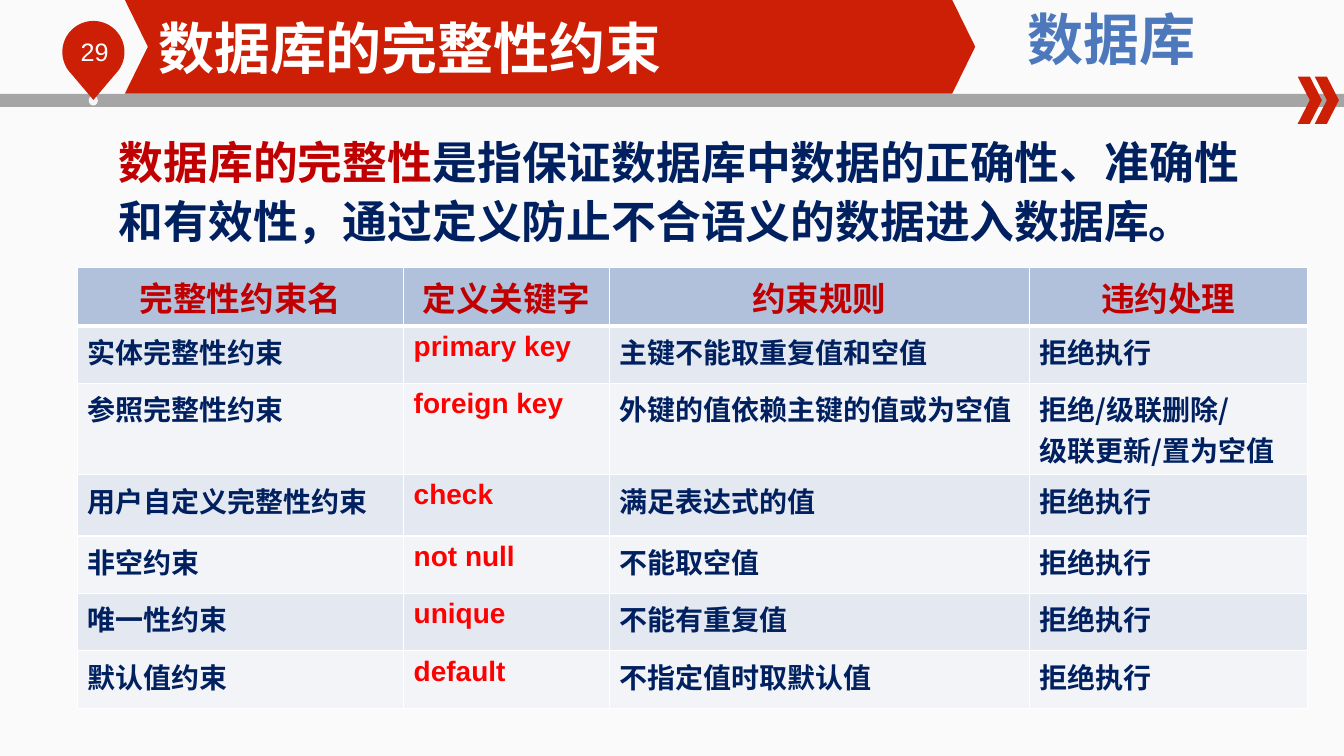
from dataclasses import dataclass
from math import cos, radians, sin

from lxml.etree import SubElement as Sub
from pptx import Presentation
from pptx.dml.color import RGBColor as RGB
from pptx.enum.shapes import MSO_SHAPE as Kind
from pptx.enum.text import MSO_ANCHOR as Anchor, PP_ALIGN as Align
from pptx.oxml.ns import qn
from pptx.util import Pt


@dataclass(frozen=True)
class Theme:
    """Colours, fonts and type sizes of the slide."""
    red: str = "CD1F06"
    gray: str = "A5A5A5"
    dot: str = "F6F6F6"
    white: str = "FFFFFF"
    blue: str = "4D79BC"
    navy: str = "002060"
    dark: str = "C00000"
    key: str = "FF0000"
    head: str = "B2C1DB"
    bands: tuple = ("E4E9F1", "F2F4F8")
    back: tuple = ("FAFAFA", "FCFCFC")
    latin: str = "Arial"
    han: str = "Noto Sans CJK SC"
    title: int = 40
    body: int = 32
    label: int = 24
    cell: int = 20
    page: int = 18


def write(para, text, *, size, color, font, han, bold=True, align=None, space=None):
    """Add a formatted run to a paragraph."""
    if align is not None:
        para.alignment = align
    if space:
        para.line_spacing = space
    run = para.add_run()
    run.text = text
    run.font.size = Pt(size)
    run.font.bold = bold
    run.font.color.rgb = RGB.from_string(color)
    run.font.name = font
    Sub(run.font._element, qn("a:ea"), typeface=han)


class Deck:
    """Draw styled elements on the current slide."""

    def __init__(self, theme, wide, high):
        """Open a blank slide of the given size."""
        self.theme = theme
        self.show = Presentation()
        self.show.slide_width, self.show.slide_height = Pt(wide), Pt(high)
        self.slide = self.show.slides.add_slide(self.show.slide_layouts[6])
        fill = self.slide.background.fill
        fill.gradient()
        fill.gradient_angle = 270
        for stop, color in zip(fill.gradient_stops, theme.back):
            stop.color.rgb = RGB.from_string(color)

    def paint(self, shape, color):
        """Give a shape a plain fill with no line or shadow."""
        shape.shadow.inherit = False
        shape.fill.solid()
        shape.fill.fore_color.rgb = RGB.from_string(color)
        shape.line.fill.background()

    def shape(self, kind, box, color, adj=None):
        """Add a preset shape."""
        item = self.slide.shapes.add_shape(kind, *map(Pt, box))
        if adj:
            item.adjustments[0] = adj
        self.paint(item, color)

    def pin(self, x, y, r, tip, color):
        """Add a round marker that narrows to a tip."""
        turns = [radians(a) for a in range(135, 406, 5)]
        ring = [(Pt(x + r * cos(a)), Pt(y + r * sin(a))) for a in turns]
        form = self.slide.shapes.build_freeform(Pt(x), Pt(tip))
        form.add_line_segments(ring, close=True)
        self.paint(form.convert_to_shape(), color)

    def text(self, box, runs, **style):
        """Add a text box with one paragraph of coloured runs."""
        frame = self.slide.shapes.add_textbox(*map(Pt, box)).text_frame
        frame.word_wrap = True
        frame.vertical_anchor = Anchor.MIDDLE
        look = {"font": self.theme.latin, "han": self.theme.han} | style
        for text, color in runs:
            write(frame.paragraphs[0], text, color=color, **look)

    def edge(self, cell, side, width):
        """Add one white border to a cell."""
        line = Sub(cell._tc.get_or_add_tcPr(), qn("a:ln" + side), w=str(Pt(width)))
        fill = Sub(line, qn("a:solidFill"))
        Sub(fill, qn("a:srgbClr"), val=self.theme.white)

    def cell(self, cell, text, row, col):
        """Fill and format one table cell."""
        th = self.theme
        for side in "LRTB":
            thick = (row, side) in ((0, "B"), (1, "T"))
            self.edge(cell, side, 3 if thick else 1)
        cell.fill.solid()
        color = th.bands[(row - 1) % 2] if row else th.head
        cell.fill.fore_color.rgb = RGB.from_string(color)
        look = {"size": th.cell, "color": th.key if col == 1 else th.navy}
        if row == 0:
            look = {"size": th.label, "color": th.dark, "align": Align.CENTER}
        font = th.han if row and col == 3 else th.latin
        frame = cell.text_frame
        for i, part in enumerate(text.split("\n")):
            para = frame.add_paragraph() if i else frame.paragraphs[0]
            write(para, part, font=font, han=th.han, **look)

    def table(self, left, top, cols, rows, data):
        """Add a table with the given column widths and row heights."""
        box = map(Pt, (left, top, sum(cols), sum(rows)))
        grid = self.slide.shapes.add_table(len(rows), len(cols), *box).table
        grid.horz_banding = False
        for col, width in zip(grid.columns, cols):
            col.width = Pt(width)
        for r, (height, line) in enumerate(zip(rows, data)):
            grid.rows[r].height = Pt(height)
            for c, text in enumerate(line):
                self.cell(grid.cell(r, c), text, r, c)


RULES = [
    ("完整性约束名", "定义关键字", "约束规则", "违约处理"),
    ("实体完整性约束", "primary key", "主键不能取重复值和空值", "拒绝执行"),
    ("参照完整性约束", "foreign key", "外键的值依赖主键的值或为空值",
     "拒绝/级联删除/\n级联更新/置为空值"),
    ("用户自定义完整性约束", "check", "满足表达式的值", "拒绝执行"),
    ("非空约束", "not null", "不能取空值", "拒绝执行"),
    ("唯一性约束", "unique", "不能有重复值", "拒绝执行"),
    ("默认值约束", "default", "不指定值时取默认值", "拒绝执行"),
]


def main():
    """Build the slide and save it."""
    th = Theme()
    deck = Deck(th, 960.5, 540)
    deck.shape(Kind.RECTANGLE, (0, 67, 960.5, 9.4), th.gray)
    deck.shape(Kind.OVAL, (63.4, 68.2, 6.5, 7.2), th.dot)
    deck.pin(66.8, 37.2, 22.2, 71.4, th.red)
    deck.text((50.6, 22.6, 54.7, 28.8), [("29", th.white)], size=th.page, bold=False)
    for left in (927.4, 939.6):
        deck.shape(Kind.CHEVRON, (left, 54.7, 17.3, 33.8), th.red, 0.5)
    deck.shape(Kind.CHEVRON, (89.3, 0, 607.7, 66.8), th.red, 0.246)
    deck.text((696.5, -0.6, 195.8, 55.4), [("数据库", th.blue)],
              size=th.title, font=th.han, align=Align.CENTER)
    deck.text((106, 8.6, 532, 49.7), [("数据库的完整性约束", th.white)], size=th.title)
    deck.table(55.2, 190.8, (233.3, 146.9, 300.2, 198.7),
               (42, 41, 65.2, 43.9, 41, 41, 41), RULES)
    deck.text((77.8, 88.6, 828, 92.2), [
        ("数据库的完整性", th.dark),
        ("是指保证数据库中数据的正确性、准确性和有效性，"
         "通过定义防止不合语义的数据进入数据库。", th.navy),
    ], size=th.body, font=th.han, space=1.1)
    deck.show.save("out.pptx")


if __name__ == "__main__":
    main()
